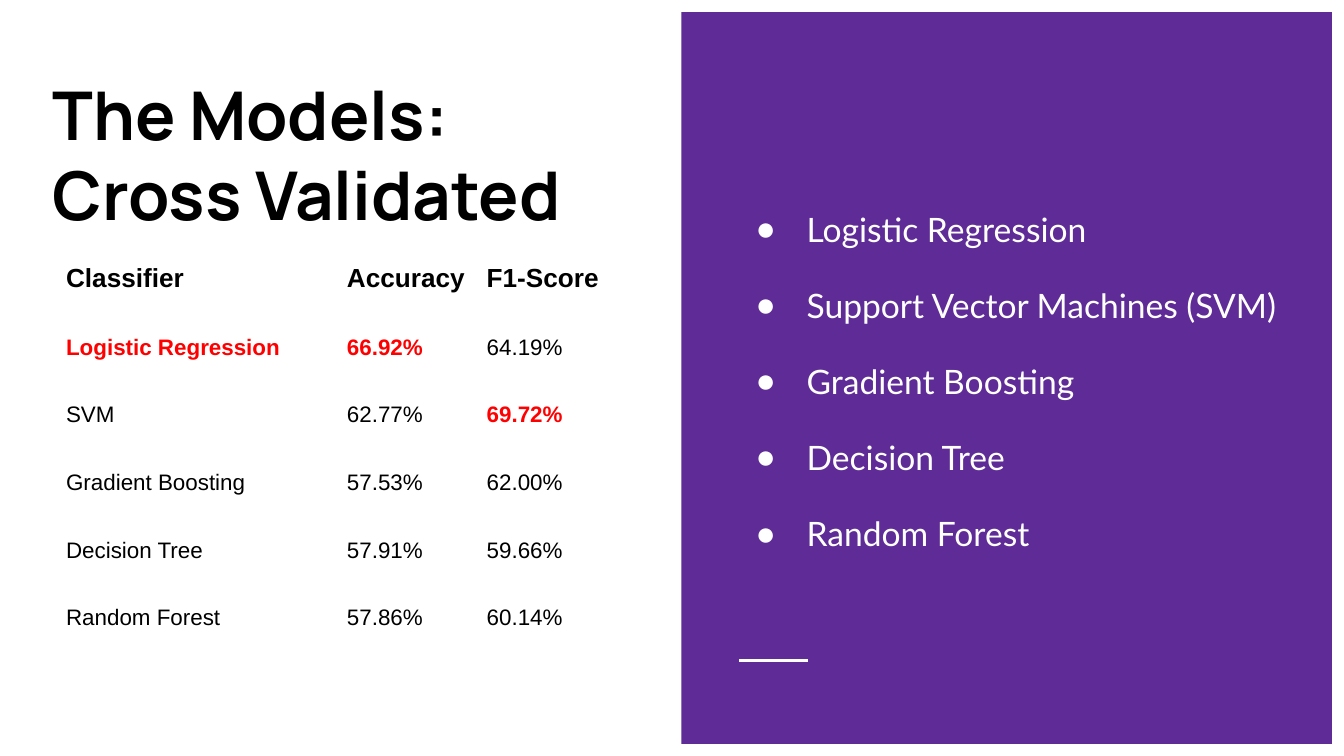
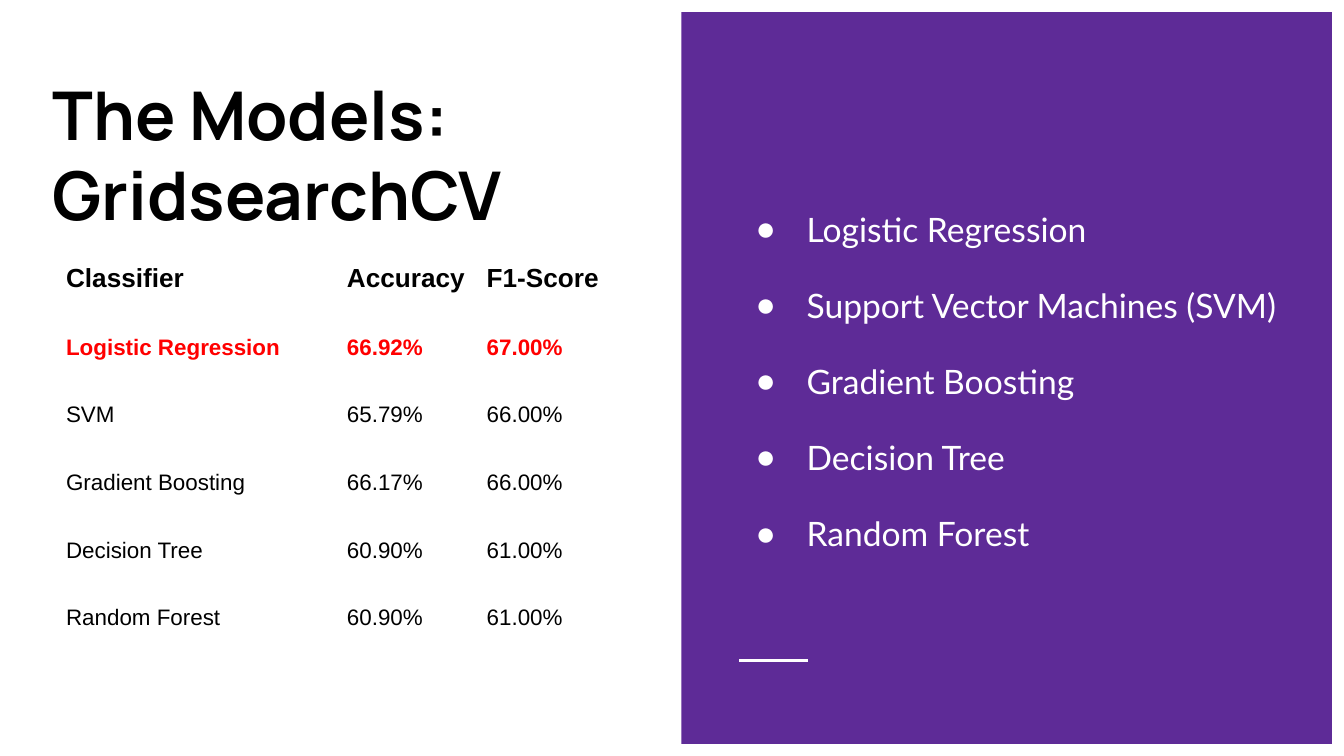
from dataclasses import dataclass

from lxml import etree
from pptx import Presentation
from pptx.dml.color import RGBColor
from pptx.enum.shapes import MSO_CONNECTOR, MSO_SHAPE
from pptx.enum.text import MSO_ANCHOR, MSO_AUTO_SIZE, PP_ALIGN
from pptx.oxml.ns import qn
from pptx.util import Inches, Pt

RECT, STRAIGHT = MSO_SHAPE.RECTANGLE, MSO_CONNECTOR.STRAIGHT
MIDDLE, BOTTOM = MSO_ANCHOR.MIDDLE, MSO_ANCHOR.BOTTOM
LEFT, NO_FIT = PP_ALIGN.LEFT, MSO_AUTO_SIZE.NONE


@dataclass(frozen=True)
class Theme:
    """Colours, fonts and type sizes shared by the slides."""
    purple: str = "5E2B97"
    white: str = "FFFFFF"
    black: str = "000000"
    red: str = "FF0000"
    title_font: str = "Manrope"
    body_font: str = "Lato"
    table_font: str = "Arial"
    title_size: int = 36
    body_size: int = 18
    head_size: int = 14
    cell_size: int = 12


def rgb(value):
    """Turn a hex string into a colour."""
    return RGBColor.from_string(value)


def add_color(parent, tag, value):
    """Append a colour-holding element to a parent."""
    el = etree.SubElement(parent, qn(tag))
    etree.SubElement(el, qn("a:srgbClr")).set("val", value)
    return el


def write(p, text, font, size, color, bold=False, spacing=1, before=0, after=0,
          highlight=None, bullet=None):
    """Put formatted text into a paragraph."""
    p.alignment, p.line_spacing = LEFT, spacing
    p.space_before, p.space_after = Pt(before), Pt(after)
    r = p.add_run()
    r.text = text
    r.font.name, r.font.size, r.font.bold = font, Pt(size), bold
    r.font.color.rgb = rgb(color)
    if highlight:
        rpr = r._r.get_or_add_rPr()
        rpr.find(qn("a:solidFill")).addnext(add_color(rpr, "a:highlight", highlight))
    if bullet:
        ppr = p._p.get_or_add_pPr()
        ppr.set("marL", str(Inches(0.5)))
        ppr.set("indent", str(-Inches(0.38)))
        add_color(ppr, "a:buClr", color)
        etree.SubElement(ppr, qn("a:buChar")).set("char", bullet)


class Deck:
    """Holds the theme and the current slide; lengths are percent of the slide."""

    def __init__(self, theme):
        """Start an empty 16:9 presentation."""
        self.t = theme
        self.prs = Presentation()
        self.prs.slide_width = Inches(10)
        self.prs.slide_height = self.prs.slide_width * 9 // 16

    def x(self, share):
        """Convert a percentage of the width."""
        return round(self.prs.slide_width * share / 100)

    def y(self, share):
        """Convert a percentage of the height."""
        return round(self.prs.slide_height * share / 100)

    def box(self, left, top, width, height):
        """Convert a box given in percent."""
        return self.x(left), self.y(top), self.x(width), self.y(height)

    def new_slide(self):
        """Add a slide with the purple panel and its short rule."""
        self.s = self.prs.slides.add_slide(self.prs.slide_layouts[1])
        self.s.background.fill.solid()
        self.s.background.fill.fore_color.rgb = rgb(self.t.white)
        self.panel(50.7, 1.6, 48.4, 96.8)
        self.rule(55, 60.1, 87.4)

    def to_back(self, sp):
        """Move a shape behind the placeholders."""
        self.s.shapes.title.element.addprevious(sp.element)

    def panel(self, *box):
        """Draw the coloured panel."""
        sp = self.s.shapes.add_shape(RECT, *self.box(*box))
        sp.shadow.inherit = False
        sp.fill.solid()
        sp.fill.fore_color.rgb = rgb(self.t.purple)
        sp.line.fill.background()
        self.to_back(sp)

    def rule(self, left, right, top):
        """Draw a horizontal white line."""
        sp = self.s.shapes.add_connector(
            STRAIGHT, self.x(left), self.y(top), self.x(right), self.y(top))
        sp.line.color.rgb, sp.line.width = rgb(self.t.white), Pt(1.5)
        etree.SubElement(sp.element.spPr, qn("a:effectLst"))
        self.to_back(sp)

    def fill_placeholder(self, sp, box, anchor, lines):
        """Place a placeholder and write (text, format) lines into it."""
        sp.left, sp.top, sp.width, sp.height = self.box(*box)
        tf = sp.text_frame
        tf.word_wrap, tf.auto_size, tf.vertical_anchor = True, NO_FIT, anchor
        tf.margin_left = tf.margin_right = tf.margin_top = tf.margin_bottom = Inches(0.1)
        for i, (text, fmt) in enumerate(lines):
            write(tf.add_paragraph() if i else tf.paragraphs[0], text, **fmt)

    def title(self, *lines):
        """Write the title, one paragraph a line."""
        fmt = dict(font=self.t.title_font, size=self.t.title_size,
                   color=self.t.black, bold=True)
        self.fill_placeholder(self.s.shapes.title, (2.9, 8.75, 44.8, 24), BOTTOM,
                              [(line, fmt) for line in lines])

    def bullets(self, items):
        """Write the bulleted list on the panel."""
        last = len(items) - 1
        lines = [(item, dict(font=self.t.body_font, size=self.t.body_size,
                             color=self.t.white, spacing=1.15, bullet="●",
                             before=16 if i else 0, after=16 if i == last else 0))
                 for i, item in enumerate(items)]
        self.fill_placeholder(self.s.placeholders[1], (54.02, 14.1, 42, 71.8), MIDDLE, lines)

    def table(self, rows, best):
        """Add the score table, marking the best (row, column) cells in red."""
        widths, heights = (20.9, 10.4, 10.7), [9.2] + [8.96] * (len(rows) - 1)
        table = self.s.shapes.add_table(
            len(rows), len(widths),
            *self.box(4.32, 32, sum(widths), sum(heights))).table
        table.first_row = table.horz_banding = False
        for col, width in zip(table.columns, widths):
            col.width = self.x(width)
        for row, height in zip(table.rows, heights):
            row.height = self.y(height)
        for i, row in enumerate(rows):
            for j, text in enumerate(row):
                self.cell(table.cell(i, j), text, i == 0, (i, j) in best)

    def cell(self, cell, text, head, best):
        """Format and fill one table cell."""
        cell.fill.solid()
        cell.fill.fore_color.rgb = rgb(self.t.white)
        cell.vertical_anchor = MIDDLE
        cell.margin_left = cell.margin_right = Inches(0.06)
        cell.margin_top = cell.margin_bottom = Inches(0.06)
        write(cell.text_frame.paragraphs[0], text, font=self.t.table_font,
              size=self.t.head_size if head else self.t.cell_size,
              color=self.t.red if best else self.t.black, bold=head or best,
              spacing=1.15, before=9, highlight=self.t.white)


HEADER = ("Classifier", "Accuracy", "F1-Score")
CLASSIFIERS = ("Logistic Regression", "SVM", "Gradient Boosting",
               "Decision Tree", "Random Forest")
MODELS = [name.replace("SVM", "Support Vector Machines (SVM)") for name in CLASSIFIERS]
SLIDES = (
    ("Cross Validated",
     ("66.92%", "62.77%", "57.53%", "57.91%", "57.86%"),
     ("64.19%", "69.72%", "62.00%", "59.66%", "60.14%"),
     {(1, 0), (1, 1), (2, 2)}),
    ("GridsearchCV",
     ("66.92%", "65.79%", "66.17%", "60.90%", "60.90%"),
     ("67.00%", "66.00%", "66.00%", "61.00%", "61.00%"),
     {(1, 0), (1, 1), (1, 2)}),
)


def main():
    """Build and save the slides."""
    deck = Deck(Theme())
    for method, accuracy, f1, best in SLIDES:
        deck.new_slide()
        deck.title("The Models:", method)
        deck.bullets(MODELS)
        deck.table([HEADER, *zip(CLASSIFIERS, accuracy, f1)], best)
    deck.prs.save("out.pptx")


if __name__ == "__main__":
    main()
